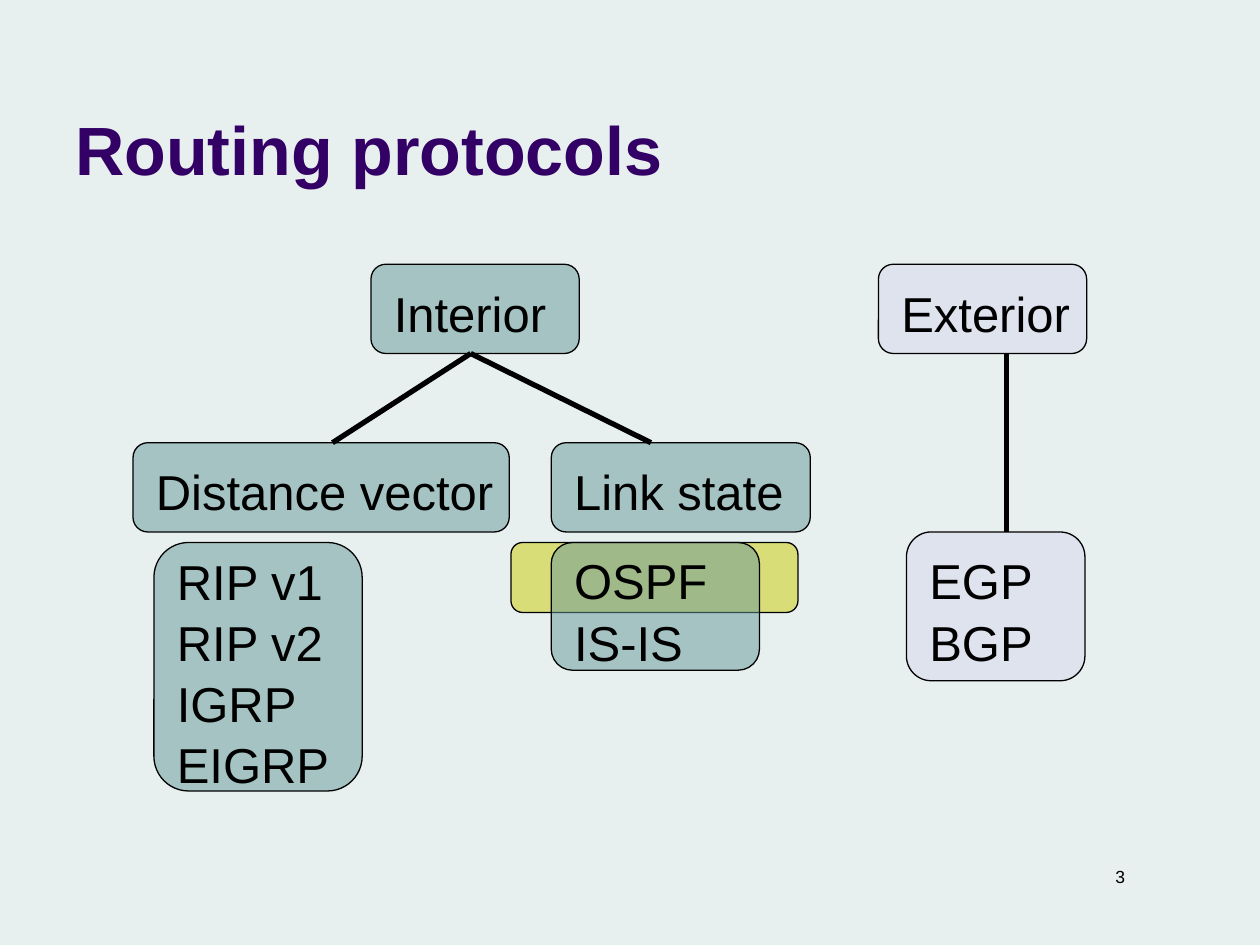
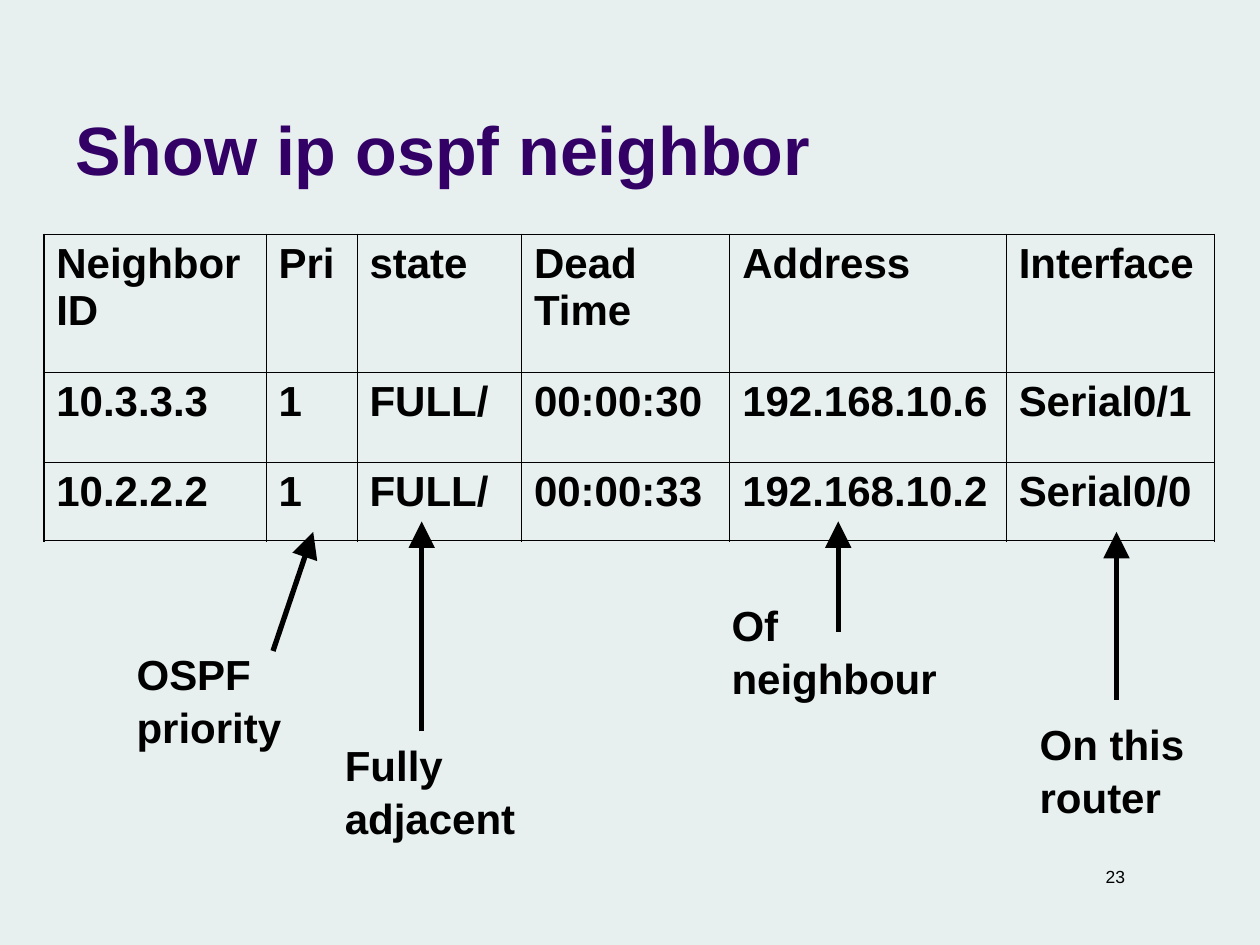
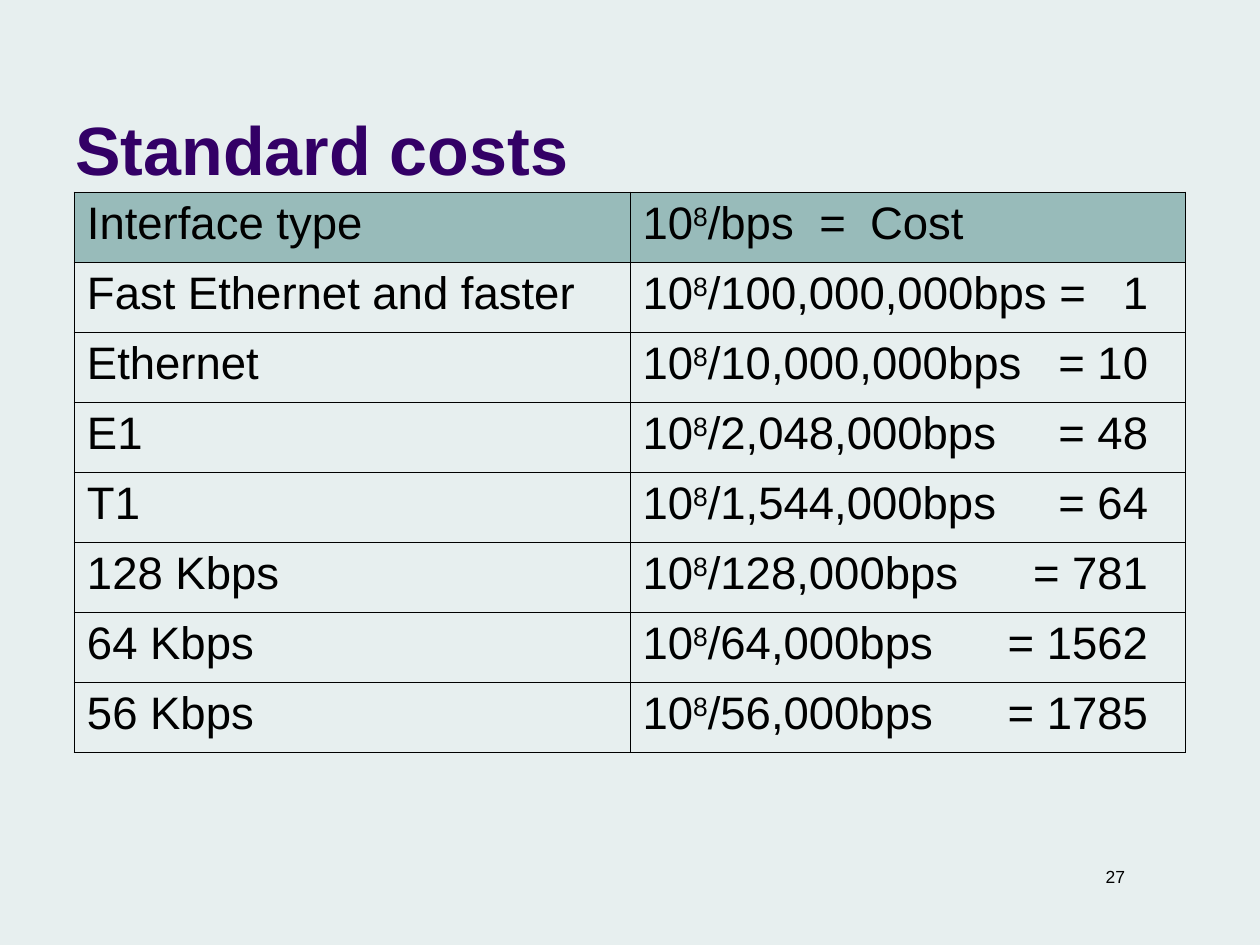
from dataclasses import dataclass

from lxml import etree
from pptx import Presentation
from pptx.dml.color import RGBColor
from pptx.enum.shapes import MSO_CONNECTOR, MSO_SHAPE
from pptx.enum.text import MSO_ANCHOR, PP_ALIGN
from pptx.oxml.ns import qn
from pptx.util import Pt

ROUNDED = MSO_SHAPE.ROUNDED_RECTANGLE
STRAIGHT = MSO_CONNECTOR.STRAIGHT
BOTTOM, TOP = MSO_ANCHOR.BOTTOM, MSO_ANCHOR.TOP
LEFT, RIGHT = PP_ALIGN.LEFT, PP_ALIGN.RIGHT


@dataclass(frozen=True)
class Theme:
    font: str = "Arial"
    background: str = "E7EFEF"
    ink: str = "000000"
    title: str = "330066"
    teal: str = "669999"
    lilac: str = "D8D8EC"
    yellow: str = "CCCC00"
    header: str = "98BBBA"
    title_size: float = 39
    diagram_size: float = 28
    costs_size: float = 26
    neighbor_size: float = 24
    page_size: float = 10
    line_spacing: float = 1.04
    outline: float = 0.75
    stroke: float = 3
    inner_border: float = 0.45
    outer_border: float = 1.08


THEME = Theme()

# Places are left, top, width, height in points.
TITLE_PLACE = (36, 9.5, 594, 102)
PAGE_PLACE = (502, 491, 148, 19)

OSPF_HIGHLIGHT = (292, 310, 164, 40)
LABEL_INDENT = 6
# label, box place, fill, label top, label width
PROTOCOL_BOXES = [
    ("RIP v1\vRIP v2\vIGRP\vEIGRP", (88, 310, 119, 142), THEME.teal, 310, 108),
    ("OSPF\vIS-IS", (315, 310, 119, 73), THEME.teal, 310, 158),
    ("EGP\vBGP", (518, 304, 102, 85), THEME.lilac, 310, 158),
    ("Link state", (315, 253, 148, 51), THEME.teal, 259, 158),
    ("Distance vector", (76, 253, 215, 51), THEME.teal, 259, 233),
    ("Exterior", (502, 151, 119, 51), THEME.lilac, 157, 158),
    ("Interior", (212, 151, 119, 51), THEME.teal, 157, 158),
]
PROTOCOL_LINES = [
    ((575, 202), (575, 304)),
    ((269, 202), (190, 253)),
    ((269, 202), (372, 253)),
]

NEIGHBOR_ROWS = [
    ("Neighbor ID", "Pri", "state", "Dead Time", "Address", "Interface"),
    ("10.3.3.3", "1", "FULL/", "00:00:30", "192.168.10.6", "Serial0/1"),
    ("10.2.2.2", "1", "FULL/", "00:00:33", "192.168.10.2", "Serial0/0"),
]
NEIGHBOR_WIDTHS = (127, 52, 94, 119, 158, 119)
NEIGHBOR_HEIGHTS = (79, 51, 45)
NOTE_HEIGHT = 65
# text, (left, top, width), arrow start, arrow end
NEIGHBOR_NOTES = [
    ("OSPF priority", (71, 366, 108), (156, 372), (179, 304)),
    ("Fully adjacent", (190, 418, 119), (241, 418), (241, 298)),
    ("Of neighbour", (411, 338, 136), (479, 361), (479, 298)),
    ("On this router", (587, 406, 107), (638, 400), (638, 304)),
]

COST_ROWS = [
    ("Interface type", "/bps\t=\tCost"),
    ("Fast Ethernet and faster", "/100,000,000bps =\t1"),
    ("Ethernet", "/10,000,000bps\t= 10"),
    ("E1", "/2,048,000bps\t= 48"),
    ("T1", "/1,544,000bps\t= 64"),
    ("128 Kbps", "/128,000bps\t= 781"),
    ("64 Kbps", "/64,000bps\t= 1562"),
    ("56 Kbps", "/56,000bps\t= 1785"),
]
COST_WIDTHS = (317.5, 317.5)
COST_ROW_HEIGHT = 40
HEADER_TABS = [(101, "l"), (130, "l")]
COST_TABS = [(289, "r")]


def points(*values):
    return [Pt(value) for value in values]


def color(code):
    return RGBColor.from_string(code)


def style_text(frame, size, ink=THEME.ink, bold=False):
    for para in frame.paragraphs:
        for span in para.runs:
            font = span.font
            font.name, font.size, font.bold = THEME.font, Pt(size), bold
            font.color.rgb = color(ink)


def add_text(page, text, place, size, ink=THEME.ink, bold=False,
             align=LEFT, anchor=TOP):
    frame = page.shapes.add_textbox(*points(*place)).text_frame
    frame.word_wrap = True
    frame.vertical_anchor = anchor
    frame.text = text
    para = frame.paragraphs[0]
    para.alignment = align
    para.line_spacing = THEME.line_spacing
    style_text(frame, size, ink, bold)


def add_rounded_box(page, place, fill):
    box = page.shapes.add_shape(ROUNDED, *points(*place))
    box.shadow.inherit = False
    box.fill.solid()
    box.fill.fore_color.rgb = color(fill)
    fill_color = box._element.spPr.find(qn("a:solidFill")).find(qn("a:srgbClr"))
    etree.SubElement(fill_color, qn("a:alpha"), val="50000")
    box.line.color.rgb = color(THEME.ink)
    box.line.width = Pt(THEME.outline)


def add_line(page, start, end, arrow=False):
    line = page.shapes.add_connector(STRAIGHT, *points(*start, *end))
    line.line.color.rgb = color(THEME.ink)
    line.line.width = Pt(THEME.stroke)
    properties = line._element.spPr
    if arrow:
        etree.SubElement(properties.find(qn("a:ln")), qn("a:tailEnd"),
                         type="triangle", w="lg", len="lg")
    etree.SubElement(properties, qn("a:effectLst"))


def set_borders(cell, outer_sides):
    properties = cell._tc.get_or_add_tcPr()
    for side in "LRTB":
        width = THEME.outer_border if side in outer_sides else THEME.inner_border
        border = etree.SubElement(properties, qn(f"a:ln{side}"), w=str(Pt(width)))
        fill = etree.SubElement(border, qn("a:solidFill"))
        etree.SubElement(fill, qn("a:srgbClr"), val=THEME.ink)


def add_grid(page, left, top, widths, heights):
    """Add an empty, unfilled table with a heavier outer border."""
    table = page.shapes.add_table(
        len(heights), len(widths),
        *points(left, top, sum(widths), sum(heights))).table
    table.first_row = table.horz_banding = False
    for column, width in zip(table.columns, widths):
        column.width = Pt(width)
    for row, height in zip(table.rows, heights):
        row.height = Pt(height)
    last_row, last_column = len(heights) - 1, len(widths) - 1
    for row in range(len(heights)):
        for column in range(len(widths)):
            edges = {"L": column == 0, "R": column == last_column,
                     "T": row == 0, "B": row == last_row}
            cell = table.cell(row, column)
            set_borders(cell, [side for side, outer in edges.items() if outer])
            cell.fill.background()
    return table


def set_tabs(para, stops):
    tab_list = etree.SubElement(para._p.get_or_add_pPr(), qn("a:tabLst"))
    for position, align in stops:
        etree.SubElement(tab_list, qn("a:tab"), pos=str(Pt(position)), algn=align)


def write_formula(para, rest):
    """Write 10 to the power of 8, followed by the rest of the formula."""
    for text in ("10", "8", rest):
        para.add_run().text = text
    para.runs[1]._r.get_or_add_rPr().set("baseline", "30000")


def add_page(deck, title, number):
    page = deck.slides.add_slide(deck.slide_layouts[6])
    add_text(page, str(number), PAGE_PLACE, THEME.page_size, align=RIGHT)
    add_text(page, title, TITLE_PLACE, THEME.title_size, THEME.title,
             bold=True, anchor=BOTTOM)
    return page


def build_protocols(deck):
    page = add_page(deck, "Routing protocols", 3)
    add_rounded_box(page, OSPF_HIGHLIGHT, THEME.yellow)
    for _, place, fill, _, _ in PROTOCOL_BOXES:
        add_rounded_box(page, place, fill)
    for label, place, _, top, width in PROTOCOL_BOXES:
        height = 7 + 34 * len(label.split("\v"))
        add_text(page, label, (place[0] + LABEL_INDENT, top, width, height),
                 THEME.diagram_size)
    for start, end in PROTOCOL_LINES:
        add_line(page, start, end)


def build_neighbors(deck):
    page = add_page(deck, "Show ip ospf neighbor", 23)
    table = add_grid(page, 25, 134, NEIGHBOR_WIDTHS, NEIGHBOR_HEIGHTS)
    for row, values in enumerate(NEIGHBOR_ROWS):
        for column, value in enumerate(values):
            frame = table.cell(row, column).text_frame
            frame.text = value
            style_text(frame, THEME.neighbor_size, bold=True)
    for text, place, start, end in NEIGHBOR_NOTES:
        add_text(page, text, (*place, NOTE_HEIGHT), THEME.neighbor_size, bold=True)
        add_line(page, start, end, arrow=True)


def build_costs(deck):
    page = add_page(deck, "Standard costs", 27)
    heights = [COST_ROW_HEIGHT] * len(COST_ROWS)
    table = add_grid(page, 42.5, 110, COST_WIDTHS, heights)
    for row, (interface, formula) in enumerate(COST_ROWS):
        name_cell, cost_cell = table.cell(row, 0), table.cell(row, 1)
        name_cell.text_frame.text = interface
        para = cost_cell.text_frame.paragraphs[0]
        write_formula(para, formula)
        set_tabs(para, COST_TABS if row else HEADER_TABS)
        for cell in (name_cell, cost_cell):
            style_text(cell.text_frame, THEME.costs_size)
            if row == 0:
                cell.fill.solid()
                cell.fill.fore_color.rgb = color(THEME.header)


def main():
    deck = Presentation()
    deck.slide_width, deck.slide_height = points(720, 540)
    backdrop = deck.slide_master.background.fill
    backdrop.solid()
    backdrop.fore_color.rgb = color(THEME.background)
    build_protocols(deck)
    build_neighbors(deck)
    build_costs(deck)
    deck.save("out.pptx")


if __name__ == "__main__":
    main()
